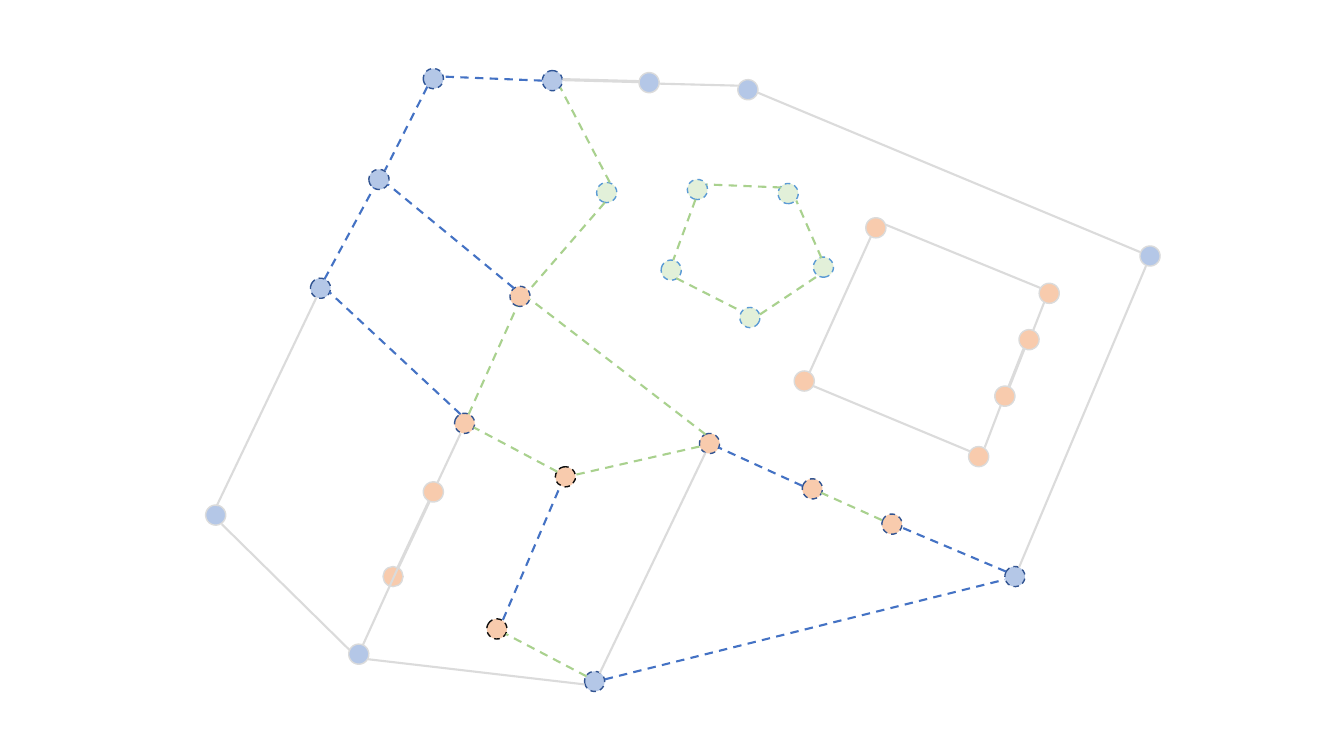
import pptx
import pptx.dml.color
import pptx.enum.dml
import pptx.enum.shapes
import pptx.util
from pptx.util import Cm

COLOURS = {
    "blue": "B4C7E7", "orange": "F8CBAD", "mint": "E2F0D9",
    "grey": "DBDBDB", "navy": "325491", "deep blue": "2F5597",
    "black": "0D0D0D", "sky": "5B9BD5",
    "royal": "4472C4", "green": "A9D18E",
}
UNIT = 2.54  # centimetres per unit of the coordinates below
DIAMETER = 0.2

# (fill, outline, dashed): (left, top, rotation) of each node
NODES = {
    ("blue", "grey", False): [
        (7.32, 0.79, 18.5), (3.46, 6.39, 342), (2.04, 5.01, 9),
        (11.31, 2.44, 68.9), (6.34, 0.72, 51.4),
    ],
    ("blue", "navy", True): [
        (3.08, 2.76, 23.9), (9.97, 5.62, 25.7), (5.8, 6.66, 345.6),
        (3.66, 1.68, 348.5),
    ],
    ("blue", "deep blue", True): [(4.2, 0.68, 349.8), (5.38, 0.7, 88.3)],
    ("orange", "navy", True): [
        (4.51, 4.1, 20.9), (5.06, 2.84, 283.4), (6.94, 4.3, 69.8),
        (7.96, 4.75, 20.9), (8.75, 5.1, 20.9),
    ],
    ("orange", "black", True): [(4.83, 6.14, 32.2), (5.51, 4.63, 76.7)],
    ("orange", "grey", False): [
        (7.88, 3.68, 29.7), (9.61, 4.43, 29.7), (10.31, 2.81, 29.7),
        (8.59, 2.16, 29.7), (3.8, 5.62, 30), (4.2, 4.78, 25),
        (10.11, 3.27, 25.9), (9.87, 3.83, 21.9),
    ],
    ("mint", "sky", True): [
        (6.82, 1.78, 283.4), (7.72, 1.82, 264.5), (6.56, 2.58, 12.3),
        (7.34, 3.05, 211.6), (8.07, 2.55, 261.3), (5.92, 1.81, 284.6),
    ],
}

# (colour, width, dashed): (start x, start y, end x, end y) of each edge
EDGES = {
    ("grey", 1.5, False): [
        (3.14, 2.95, 2.15, 5.02), (3.65, 6.54, 5.8, 6.79),
        (10.11, 5.63, 11.37, 2.64), (11.31, 2.5, 7.52, 0.92),
        (3.47, 6.45, 2.2, 5.2), (3.6, 6.4, 3.95, 5.63),
        (9.77, 4.44, 9.93, 4.02), (9.63, 4.48, 8.07, 3.83),
        (8.03, 3.7, 8.64, 2.35), (10.33, 2.86, 8.79, 2.23),
        (4.34, 4.79, 4.57, 4.3), (10.25, 3.28, 10.36, 3),
        (7.32, 0.85, 6.54, 0.83), (7, 4.49, 5.95, 6.68),
    ],
    ("grey", 2.25, False): [
        (3.95, 5.63, 4.26, 4.97), (10.01, 3.84, 10.16, 3.46),
        (5.58, 0.79, 6.34, 0.81),
    ],
    ("royal", 1.5, True): [
        (3.22, 2.77, 3.71, 1.86), (6, 6.74, 9.97, 5.75),
        (4.57, 4.11, 3.27, 2.9), (7.96, 4.82, 7.13, 4.44),
        (4.99, 6.15, 5.56, 4.82), (5.1, 2.86, 3.85, 1.83),
        (9.98, 5.67, 8.94, 5.23), (5.38, 0.8, 4.4, 0.76),
        (4.24, 0.86, 3.82, 1.69),
    ],
    ("green", 1.5, True): [
        (4.65, 4.11, 5.13, 3.04), (8.75, 5.16, 8.15, 4.89),
        (5.82, 6.71, 5.02, 6.29), (6.94, 4.43, 5.71, 4.71),
        (7.54, 3.12, 8.11, 2.74), (8.15, 2.56, 7.9, 1.99),
        (7.75, 1.86, 7.01, 1.83), (6.9, 1.98, 6.68, 2.58),
        (6.71, 2.76, 7.36, 3.09), (6.05, 1.81, 5.56, 0.87),
        (6, 2.01, 5.24, 2.89), (7, 4.31, 5.26, 2.97),
        (5.53, 4.68, 4.7, 4.24),
    ],
}


def length(units):
    return Cm(units * UNIT)


def rgb(name):
    return pptx.dml.color.RGBColor.from_string(COLOURS[name])


def style_line(line, colour, width, dashed):
    line.color.rgb = rgb(colour)
    line.width = pptx.util.Pt(width)
    if dashed:
        line.dash_style = pptx.enum.dml.MSO_LINE.DASH


def add_node(slide, left, top, rotation, fill, outline, dashed):
    node = slide.shapes.add_shape(
        pptx.enum.shapes.MSO_SHAPE.OVAL,
        length(left), length(top), length(DIAMETER), length(DIAMETER))
    node.rotation = rotation
    node.shadow.inherit = False
    node.fill.solid()
    node.fill.fore_color.rgb = rgb(fill)
    style_line(node.line, outline, 1, dashed)


def add_edge(slide, ends, colour, width, dashed):
    edge = slide.shapes.add_connector(
        pptx.enum.shapes.MSO_CONNECTOR.STRAIGHT, *map(length, ends))
    style_line(edge.line, colour, width, dashed)
    properties = edge.element.spPr
    properties.append(pptx.oxml.parse_xml(
        '<a:effectLst xmlns:a='
        '"http://schemas.openxmlformats.org/drawingml/2006/main"/>'))


def main():
    deck = pptx.Presentation()
    deck.slide_width, deck.slide_height = Cm(33.87), Cm(19.05)
    slide = deck.slides.add_slide(deck.slide_layouts[6])
    for style, nodes in NODES.items():
        for node in nodes:
            add_node(slide, *node, *style)
    for style, edges in EDGES.items():
        for ends in edges:
            add_edge(slide, ends, *style)
    deck.save("out.pptx")


if __name__ == "__main__":
    main()
